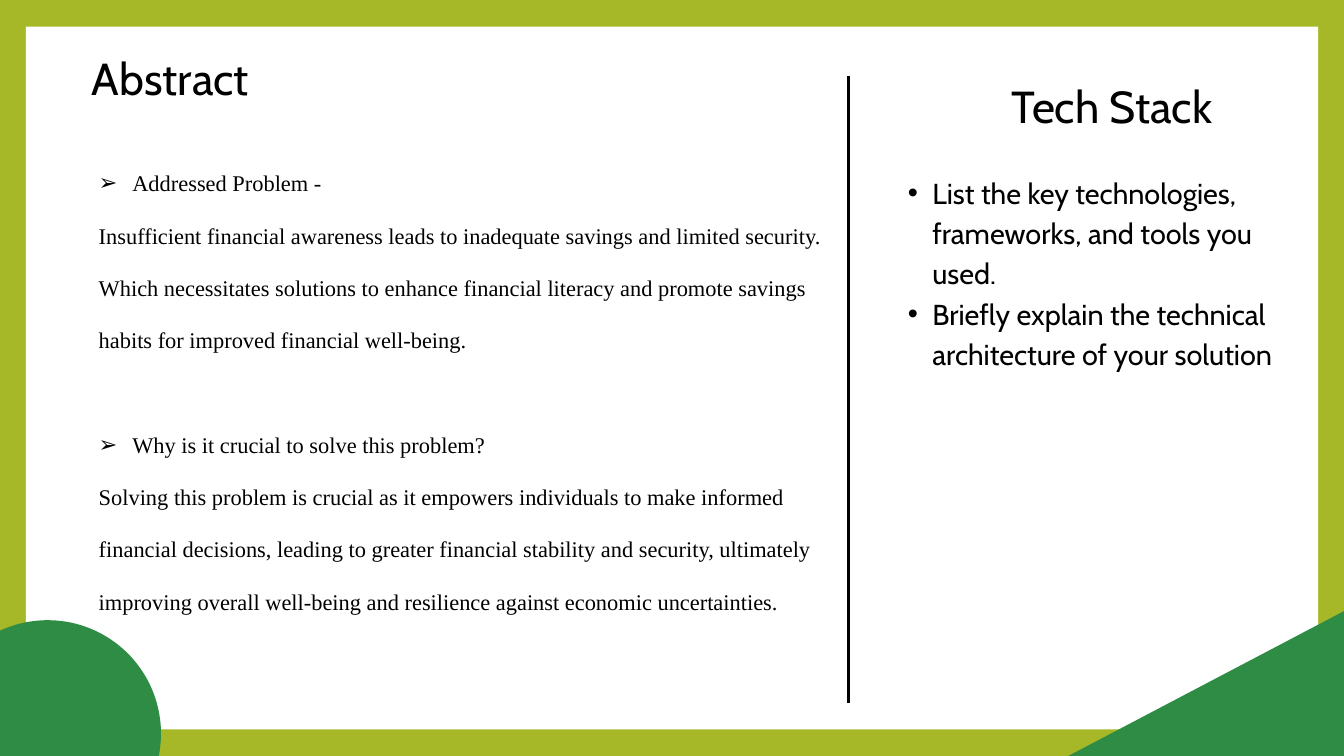
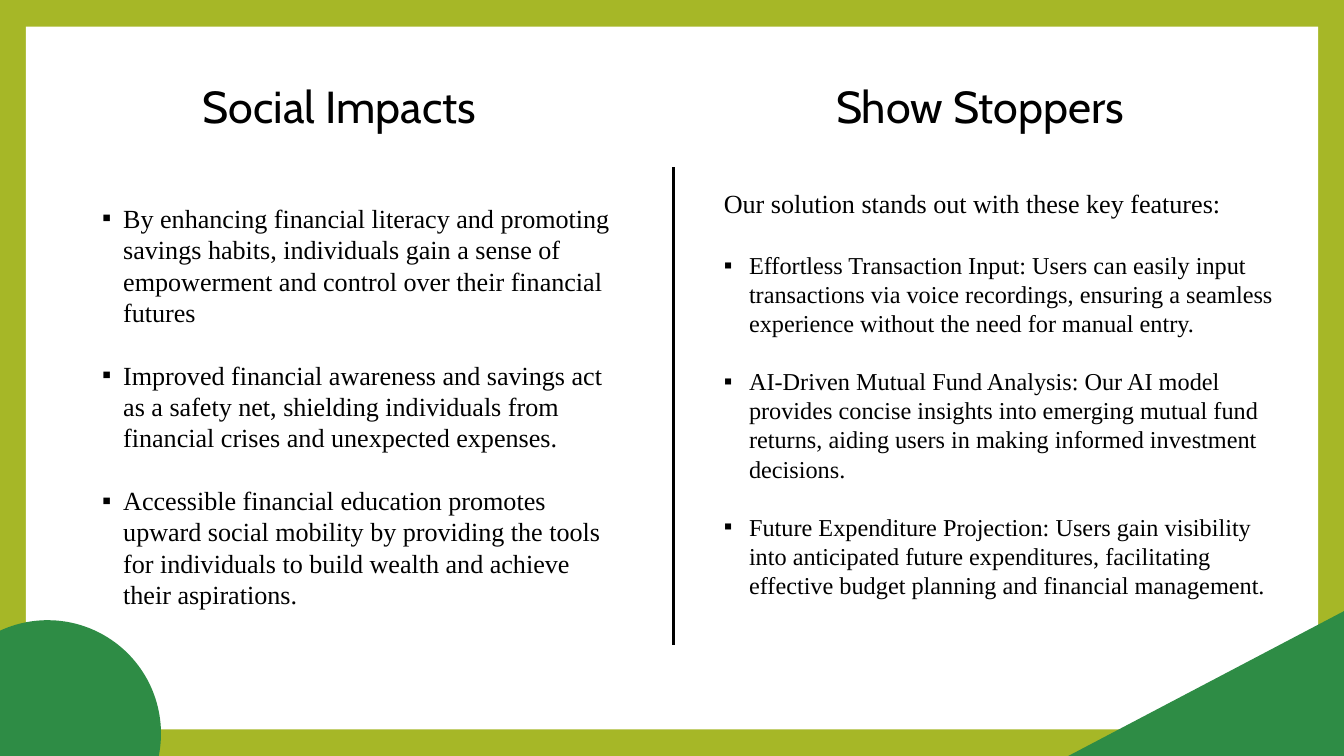
"""Builds two framed slides, each with two headed columns split by a vertical rule."""
from math import acos, asin, cos, sin

from lxml import etree
from pptx import Presentation
from pptx.dml.color import RGBColor
from pptx.enum.shapes import MSO_CONNECTOR as CONN, MSO_SHAPE as SHAPE
from pptx.enum.text import MSO_ANCHOR as ANCHOR, MSO_AUTO_SIZE as AUTO, PP_ALIGN as ALIGN
from pptx.oxml.ns import qn
from pptx.util import Pt

PX = 9525
W, H = 1920, 1080
COLORS = {name: RGBColor.from_string(value) for name, value in {
    "frame": "A6B727", "panel": "FFFFFF", "corner": "2E8C45", "ink": "000000"}.items()}
HEAD, SERIF = "Cabin", "Times New Roman"


def place(sp, box, margins=(0, 0)):
    """Moves a text shape to a px box and returns its text frame, ready to fill."""
    sp.left, sp.top, sp.width, sp.height = (v * PX for v in box)
    tf = sp.text_frame
    tf.word_wrap, tf.auto_size, tf.vertical_anchor = True, AUTO.NONE, ANCHOR.TOP
    tf.margin_left = tf.margin_right = margins[0] * PX
    tf.margin_top = tf.margin_bottom = margins[1] * PX
    return tf


def style(p, text, font, size, spacing, before=0, left=0, hang=0, bullet=None):
    """Fills a paragraph; left and hang are in px, size, spacing and before in points."""
    p.text = text
    p.font.name, p.font.size, p.font.bold = font, Pt(size), False
    p.font.color.rgb = COLORS["ink"]
    p.line_spacing, p.space_before = spacing, Pt(before)
    pPr = p._p.get_or_add_pPr()
    pPr.set("marL", str(left * PX))
    pPr.set("indent", str(-hang * PX))
    mark = etree.Element(qn("a:buChar" if bullet else "a:buNone"))
    if bullet:
        mark.set("char", bullet)
    pPr.insert_element_before(mark, "a:tabLst", "a:defRPr", "a:extLst")


arrow = dict(left=93, hang=48, bullet="➢")
plain = dict(left=45)
dot = dict(left=70, hang=35, bullet="•")
square = dict(left=36, hang=36, bullet="▪")
small_square = dict(left=30, hang=30, bullet="▪")

abstract = dict(box=(96, 206, 1104, 666), font=SERIF, spacing=Pt(56), level=1, items=[
    ("Addressed Problem -", 24, 0, arrow),
    ("Insufficient financial awareness leads to inadequate savings and limited security. "
     "Which necessitates solutions to enhance financial literacy and promote savings "
     "habits for improved financial well-being.", 24, 0, plain),
    ("Why is it crucial to solve this problem?", 24, 56, arrow),
    ("Solving this problem is crucial as it empowers individuals to make informed "
     "financial decisions, leading to greater financial stability and security, ultimately "
     "improving overall well-being and resilience against economic uncertainties.",
     24, 0, plain)])
tech_stack = dict(box=(1262, 242, 610, 397), font=HEAD, spacing=Pt(43.3), level=1, items=[
    ("List the key technologies, frameworks, and tools you used.", 30.9, 0, dot),
    ("Briefly explain the technical architecture of your solution", 30.9, 0, dot)])
impacts = dict(box=(136, 284, 752, 598), margins=(10, 5), font=SERIF, spacing=1.0, items=[
    ("By enhancing financial literacy and promoting savings habits, individuals gain a "
     "sense of empowerment and control over their financial futures", 28, 0, small_square),
    ("Improved financial awareness and savings act as a safety net, shielding individuals "
     "from financial crises and unexpected expenses.", 28, 33.5, small_square),
    ("Accessible financial education promotes upward social mobility by providing the "
     "tools for individuals to build wealth and achieve their aspirations.",
     28, 33.5, small_square)])
stoppers = dict(box=(1024, 263, 808, 604), margins=(10, 5), font=SERIF, spacing=1.0, items=[
    ("Our solution stands out with these key features:", 28, 0, {}),
    ("Effortless Transaction Input: Users can easily input transactions via voice "
     "recordings, ensuring a seamless experience without the need for manual entry.",
     26, 33.5, square),
    ("AI-Driven Mutual Fund Analysis: Our AI model provides concise insights into emerging "
     "mutual fund returns, aiding users in making informed investment decisions.",
     26, 31, square),
    ("Future Expenditure Projection: Users gain visibility into anticipated future "
     "expenditures, facilitating effective budget planning and financial management.",
     26, 31, square)])

slides = [
    dict(heads=[("Abstract", (68, 60, 351, 85)), ("Tech Stack", (1413, 99, 351, 85))],
         rule=(1212, 108, 1005), lists=[abstract, tech_stack]),
    dict(heads=[("Social Impacts", (229, 99, 512, 85)), ("Show Stoppers", (1144, 99, 512, 85))],
         rule=(962, 239, 921), lists=[impacts, stoppers]),
]

cx, cy, radius, steps = 68, 1048, 162, 60
first, last = acos(-cx / radius), -asin((H - cy) / radius)
angles = [first + (last - first) * i / steps for i in range(steps + 1)]
arc = [(cx + radius * cos(a), cy - radius * sin(a)) for a in angles]
corners = [[(0, H)] + arc, [(W, H), (1526, H), (W, 873)]]

prs = Presentation()
prs.slide_width, prs.slide_height = W * PX, H * PX
master = prs.slide_master
master.background.fill.solid()
master.background.fill.fore_color.rgb = COLORS["frame"]

for number, content in enumerate(slides):
    s = prs.slides.add_slide(prs.slide_layouts[3])

    if number == 0:
        panel = s.shapes.add_shape(SHAPE.RECTANGLE, *(v * PX for v in (37, 38, 1846, 1004)))
        panel.shadow.inherit = False
        panel.fill.solid()
        panel.fill.fore_color.rgb = COLORS["panel"]
        panel.line.fill.background()
        panel.element.nvSpPr.cNvPr.id = 20
        master.shapes.element.append(panel.element)

    for outline in corners:
        points = [(round(x * PX), round(y * PX)) for x, y in outline]
        builder = s.shapes.build_freeform(*points[0], scale=1.0)
        builder.add_line_segments(points[1:], close=True)
        corner = builder.convert_to_shape()
        corner.shadow.inherit = False
        corner.fill.solid()
        corner.fill.fore_color.rgb = COLORS["corner"]
        corner.line.fill.background()

    x, top, bottom = (v * PX for v in content["rule"])
    rule = s.shapes.add_connector(CONN.STRAIGHT, x, top, x, bottom)
    rule.line.color.rgb, rule.line.width = COLORS["ink"], Pt(3)
    etree.SubElement(rule.element.spPr, qn("a:effectLst"))

    head_shapes = [s.shapes.title, s.shapes.add_textbox(0, 0, PX, PX)]
    for sp, (text, box) in zip(head_shapes, content["heads"]):
        p = place(sp, box).paragraphs[0]
        style(p, text, HEAD, 48, Pt(67.2))
        p.alignment = ALIGN.CENTER

    for sp, column in zip(list(s.placeholders)[1:], content["lists"]):
        tf = place(sp, column["box"], column.get("margins", (0, 0)))
        for i, (text, size, before, indent) in enumerate(column["items"]):
            p = tf.add_paragraph() if i else tf.paragraphs[0]
            p.level = column.get("level", 0)
            style(p, text, column["font"], size, column["spacing"], before, **indent)

prs.save("out.pptx")
